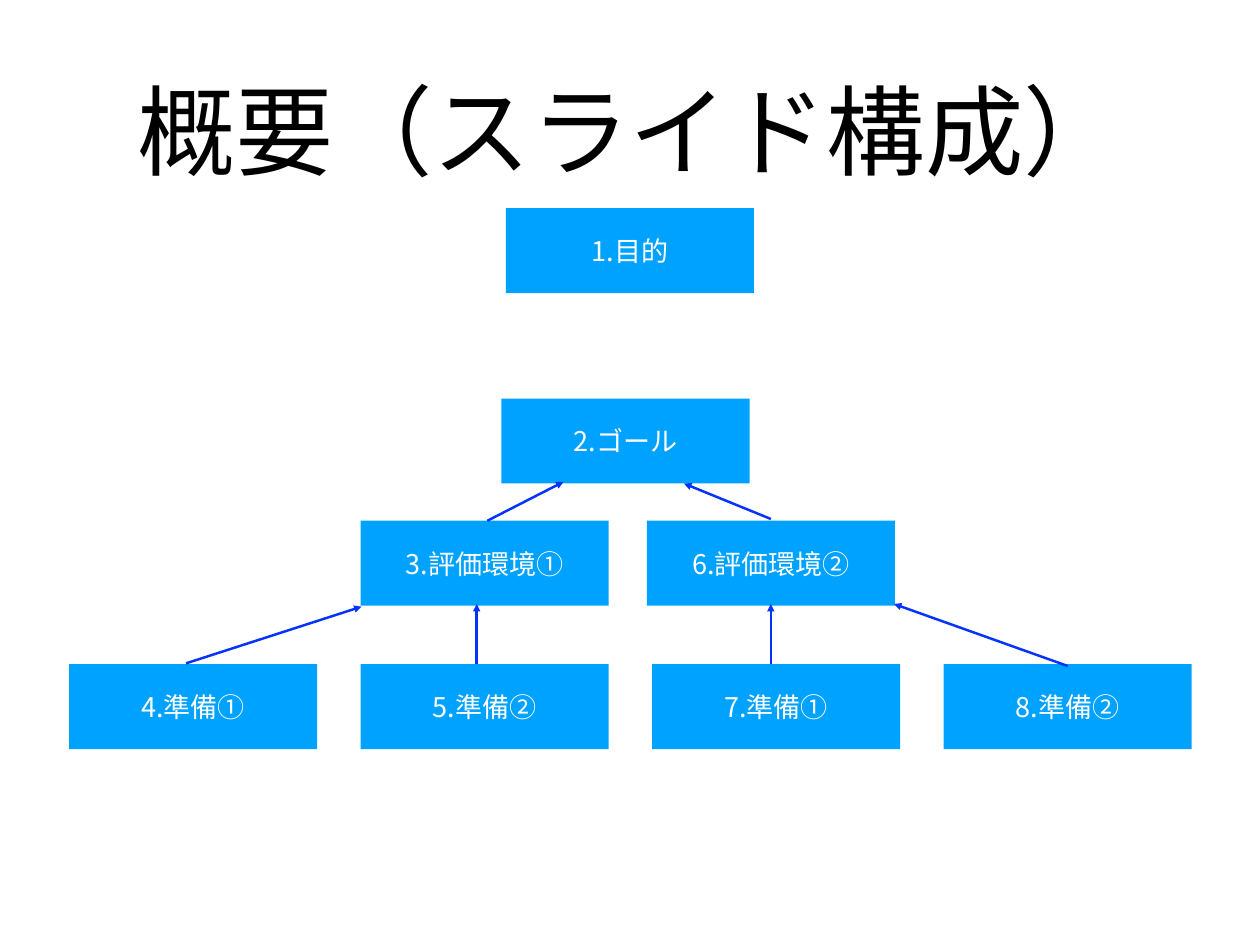
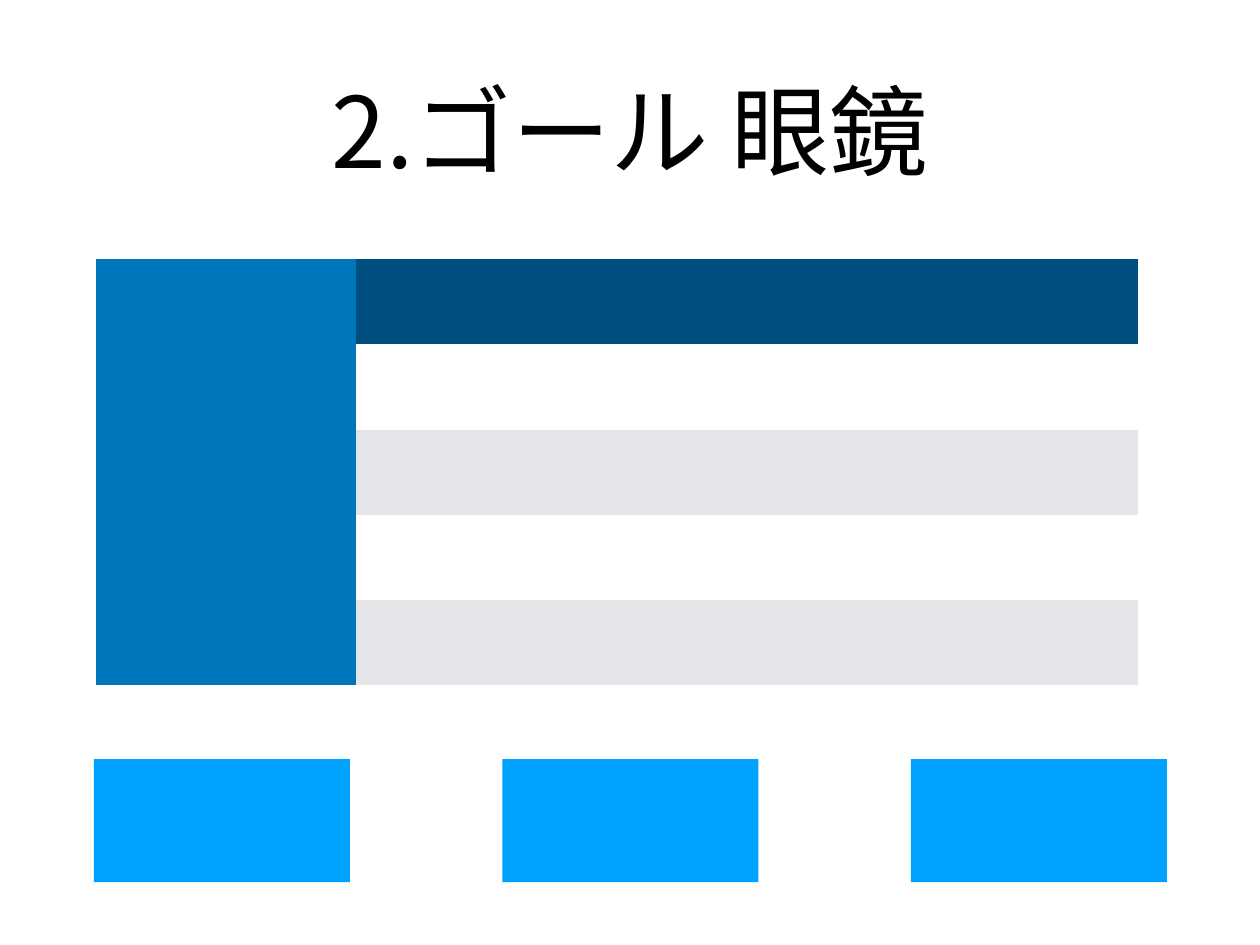
from lxml.etree import SubElement
from pptx import Presentation
from pptx.dml.color import RGBColor
from pptx.enum.shapes import MSO_CONNECTOR, MSO_SHAPE
from pptx.enum.text import MSO_ANCHOR, PP_ALIGN
from pptx.oxml.ns import qn
from pptx.util import Inches, Pt

FONT = "Noto Sans CJK JP"
BLACK, WHITE = "000000", "FFFFFF"
BOX_BLUE, ARROW_BLUE = "00A2FF", "0433FF"
HEADER_ROW, HEADER_COLUMN, BAND = "004D80", "0076BA", "E3E5E8"
NO_TABLE_STYLE = "{2D5ABB26-0587-4C30-8999-92F81FD0307C}"


def rgb(value):
    """Turn a hex string into a colour."""
    return RGBColor.from_string(value)


class Deck:
    """Hold the shared style and the current slide."""

    def __init__(self):
        """Start a presentation of the right size."""
        self.prs = Presentation()
        self.prs.slide_width = Inches(14.22)
        self.prs.slide_height = Inches(10.67)
        self.s = None

    def slide(self, title):
        """Add a blank slide with a centred title."""
        self.s = self.prs.slides.add_slide(self.prs.slide_layouts[6])
        sp = self.s.shapes.add_textbox(
            Inches(1.04), Inches(0.28), Inches(12.14), Inches(2.36))
        self.put_text(sp, title, 80, BLACK)

    def put_text(self, sp, text, size, color):
        """Put one centred paragraph in a shape."""
        tf = sp.text_frame
        tf.word_wrap = True
        tf.vertical_anchor = MSO_ANCHOR.MIDDLE
        tf.margin_left = tf.margin_right = Inches(0.06)
        tf.margin_top = tf.margin_bottom = Inches(0.06)
        p = tf.paragraphs[0]
        p.text = text
        p.alignment = PP_ALIGN.CENTER
        p.font.size = Pt(size)
        p.font.name = FONT
        p.font.color.rgb = rgb(color)
        props = p._p.get_or_add_pPr().get_or_add_defRPr()
        SubElement(props, qn("a:ea")).set("typeface", FONT)

    def box(self, x, y, text="", width=2.8, height=0.96):
        """Add a blue box, with a label if one is given."""
        sp = self.s.shapes.add_shape(
            MSO_SHAPE.RECTANGLE, Inches(x), Inches(y), Inches(width), Inches(height))
        sp.shadow.inherit = False
        sp.fill.solid()
        sp.fill.fore_color.rgb = rgb(BOX_BLUE)
        sp.line.fill.background()
        if text:
            self.put_text(sp, text, 22, WHITE)

    def arrow(self, x1, y1, x2, y2):
        """Add an arrow that points at its second end."""
        arrow = self.s.shapes.add_connector(
            MSO_CONNECTOR.STRAIGHT, Inches(x1), Inches(y1), Inches(x2), Inches(y2))
        arrow.line.width = Pt(2)
        arrow.line.color.rgb = rgb(ARROW_BLUE)
        props = arrow._element.spPr
        SubElement(props.find(qn("a:ln")), qn("a:tailEnd")).set("type", "triangle")
        SubElement(props, qn("a:effectLst"))

    def table(self, x, y, rows, cols, col_width, row_height):
        """Add an empty banded table with a header row and column."""
        table = self.s.shapes.add_table(
            rows, cols, Inches(x), Inches(y),
            Inches(cols * col_width), Inches(rows * row_height)).table
        table._tbl.tblPr.find(qn("a:tableStyleId")).text = NO_TABLE_STYLE
        for r in range(rows):
            for c in range(cols):
                if c == 0:
                    color = HEADER_COLUMN
                elif r == 0:
                    color = HEADER_ROW
                else:
                    color = WHITE if r % 2 else BAND
                fill = table.cell(r, c).fill
                fill.solid()
                fill.fore_color.rgb = rgb(color)


def overview(deck):
    """Build the tree of sections."""
    deck.slide("概要（スライド構成）")
    deck.box(5.71, 2.35, "1.目的")
    deck.box(5.66, 4.5, "2.ゴール")
    deck.box(4.07, 5.88, "3.評価環境①")
    deck.box(7.3, 5.88, "6.評価環境②")
    for i, label in enumerate(("4.準備①", "5.準備②", "7.準備①", "8.準備②")):
        deck.box(0.78 + 3.29 * i, 7.5, label)
    for ends in ((5.5, 5.88, 6.36, 5.44), (2.1, 7.49, 4.08, 6.85),
                 (5.38, 7.5, 5.38, 6.82), (8.7, 7.5, 8.7, 6.82),
                 (12.05, 7.52, 10.09, 6.82), (8.7, 5.86, 7.72, 5.46)):
        deck.arrow(*ends)


def goal(deck):
    """Build the goal slide with its table and three boxes."""
    deck.slide("2.ゴール 眼鏡")
    deck.table(1.08, 2.93, rows=5, cols=4, col_width=2.94, row_height=0.96)
    for i in range(3):
        deck.box(1.06 + 4.61 * i, 8.57, width=2.89, height=1.39)


deck = Deck()
overview(deck)
goal(deck)
deck.prs.save("out.pptx")
